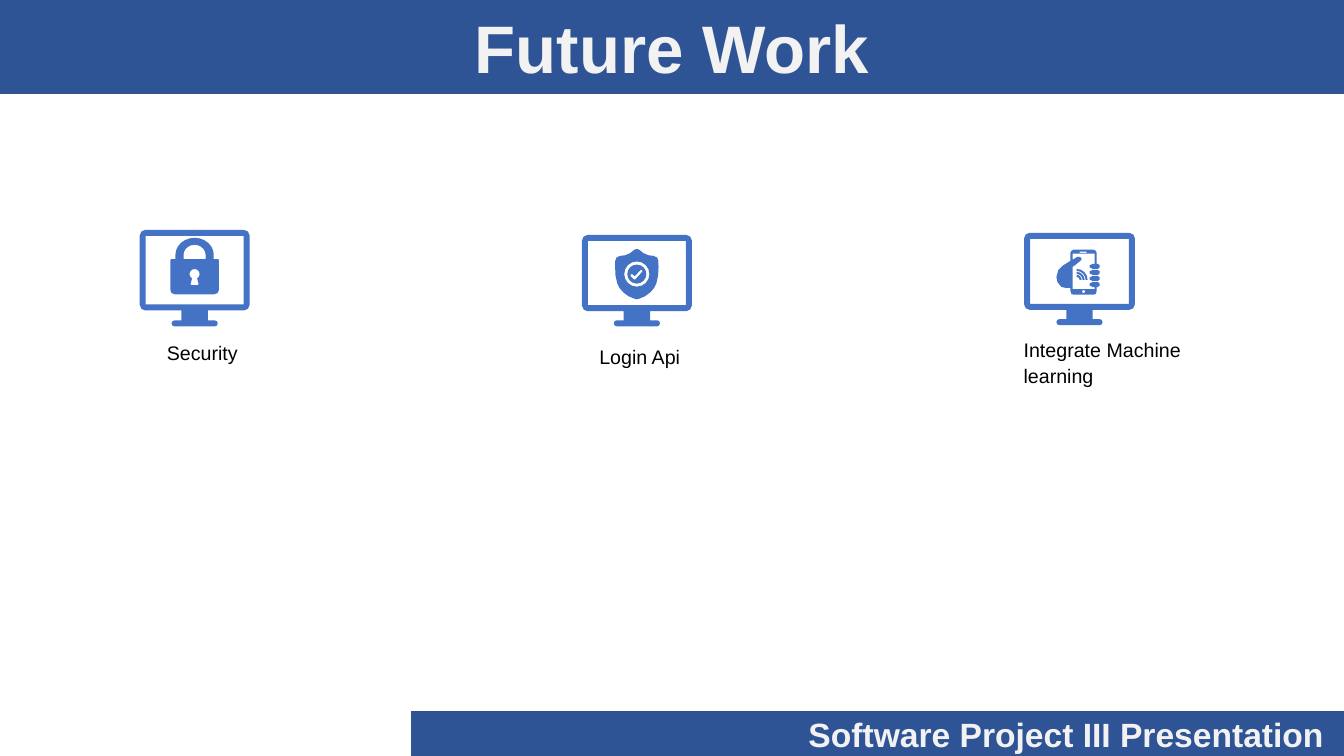
from math import cos, radians, sin

from pptx import Presentation
from pptx.dml.color import RGBColor as Rgb
from pptx.enum.shapes import MSO_SHAPE as Kind
from pptx.enum.text import MSO_ANCHOR as Anchor, MSO_AUTO_SIZE as Fit, PP_ALIGN as Align
from pptx.util import Pt

HUES = {"bar": "2F5496", "edge": "31538F", "pale": "F2F2F2",
        "icon": "4472C4", "text": "000000"}


def hue(name):
    return Rgb.from_string(HUES[name])


def paint(shape, fill, line=None):
    shape.fill.solid()
    shape.fill.fore_color.rgb = hue(fill)
    if line:
        shape.line.color.rgb = hue(line)
        shape.line.width = Pt(1)
    else:
        shape.line.fill.background()


def write(shape, text, size, color, bold=False, align=Align.LEFT, anchor=Anchor.TOP):
    frame = shape.text_frame
    frame.text = text
    frame.word_wrap = True
    frame.auto_size = Fit.NONE
    frame.vertical_anchor = anchor
    par = frame.paragraphs[0]
    par.alignment = align
    font = par.runs[0].font
    font.name, font.size, font.bold = "Arial", Pt(size), bold
    font.color.rgb = hue(color)
    return par


def arc(wide, high, mid, end, steps):
    turns = [radians(end * i / steps) for i in range(steps + 1)]
    return [(wide * sin(t), mid - high * cos(t)) for t in turns]


def mirror(half):
    return half + [(-a, b) for a, b in reversed(half) if abs(a) > 0.01]


def disc(size, mid):
    return mirror(arc(size, size, mid, 180, 8))


def trace(slide, x, y, loops, unit=1):
    loops = [[(Pt(x + a * unit), Pt(y + b * unit)) for a, b in loop] for loop in loops]
    pen = slide.shapes.build_freeform(*loops[0][0], scale=1.0)
    for i, loop in enumerate(loops):
        if i:
            pen.move_to(*loop[0])
        pen.add_line_segments(loop[1:], close=True)
    shape = pen.convert_to_shape()
    shape.shadow.inherit = False
    paint(shape, "icon")


def header(slide, box):
    title = slide.shapes.title
    title.left, title.top, title.width, title.height = map(Pt, box)
    paint(title, "bar", "edge")
    write(title, "Future Work", 48, "pale", True, Align.CENTER, Anchor.MIDDLE)


def footer(slide, box):
    bar = slide.shapes.add_shape(Kind.RECTANGLE, *map(Pt, box))
    bar.shadow.inherit = False
    paint(bar, "bar", "edge")
    write(bar, "Software Project III Presentation", 24, "pale", True,
          Align.RIGHT, Anchor.MIDDLE)
    bar.text_frame.margin_right = Pt(14.4)


def screen(slide, box):
    x, y, w, h = box
    rim, deep, half = 4.3, h * 0.835, w / 2
    edge = [(half - 4, 0), (half - 1.2, 1.2), (half, 4), (half, deep - 4),
            (half - 1.2, deep - 1.2), (half - 4, deep), (9.4, deep), (9.4, h - rim),
            (14.4, h - rim), (15.9, h - 3.7), (16.5, h - 2.15), (15.9, h - 0.6),
            (14.4, h)]
    pane = [(half - rim, rim), (half - rim, deep - rim)]
    trace(slide, x + half, y, [mirror(edge), mirror(pane)])


def lock(slide, x, y):
    body = arc(13.7, 12.2, 12.2, 90, 6) + [
        (13.7, 15.2), (16.6, 15.2), (17.3, 15.8), (17.3, 37.4), (16.4, 39.5), (14, 40.3)]
    gap = arc(7.9, 7.2, 12.2, 90, 5) + [(7.9, 15.2)]
    key = arc(3.6, 3.6, 25.9, 150, 6) + [(2.9, 33), (2.4, 33.8)]
    trace(slide, x + 17.3, y, [mirror(body), mirror(gap), mirror(key)])


def shield(slide, x, y):
    side = [(0, 0), (1.5, 0.5), (5, 3.2), (8.5, 4.6), (11.9, 5), (14.5, 6.2),
            (15.4, 8.6), (15.5, 13), (15.2, 19), (14, 24.5), (12.3, 28),
            (9.7, 31), (6, 33.8), (1.3, 35.8), (0, 36)]
    tick = [(2.9, -3.1), (3.8, -2.9), (4, -1.8), (-0.9, 3.6), (-1.6, 4), (-2.3, 3.6),
            (-4.4, 1.6), (-4.4, 0.4), (-3.4, -0.1), (-1.5, 1.5)]
    mid = x + 15.5
    trace(slide, mid, y + 18, [disc(6.8, 0), tick])
    trace(slide, mid, y, [mirror(side), disc(9, 18)])


def phone(slide, x, y):
    tip = [(36, 0), (33, 1.5), (33, 3.5), (36, 5), (41, 5), (43, 3.5), (43, 1.5), (41, 0)]
    tips = [[(a, b + top) for a, b in tip] for top in (14, 20, 26, 32)]
    low = tips[3][4:] + tips[3][:4]
    hand = [(17, 0), (15, 1), (14, 3), (14, 11), (6, 16), (2, 20), (0, 27), (1, 32),
            (5, 37), (10, 38), (14, 38), (14, 41), (15, 44), (17, 44.5), (37, 44.5),
            (39, 44), (40, 41), (40, 37), *low, (38, 37), (38, 39), (16, 39), (16, 17),
            (19, 15), (25, 10), (24.5, 8), (23, 7), (21, 7), (16, 10), (16, 4), (38, 4),
            (38, 14), *tips[0], (40, 14), (40, 3), (39, 1), (37, 0)]
    waves = [[(20 + a, b) for a, b in
              arc(r, r, 30, 90, 4) + arc(r - 2, r - 2, 30, 90, 4)[::-1]]
             for r in (5, 8, 11)]
    slot = [(23, 2), (30, 2), (30, 3), (23, 3)]
    knob = [(27 + a, b) for a, b in disc(1.5, 41.5)]
    trace(slide, x, y, [hand, tips[1], tips[2], *waves, slot, knob], 0.72)


def label(slide, text, box):
    par = write(slide.shapes.add_textbox(*map(Pt, box)), text, 14, "text")
    par.line_spacing = 1.07


def main():
    deck = Presentation()
    deck.slide_width, deck.slide_height = Pt(960), Pt(540)
    slide = deck.slides.add_slide(deck.slide_layouts[5])
    header(slide, (0, 0, 960, 66.5))
    footer(slide, (294, 508.2, 666, 31.8))
    items = [
        ("Security", (99.8, 164.2, 78.5, 69), lock, (121.7, 169.9),
         (112.1, 239, 119.5, 41)),
        ("Login Api", (415.7, 167.8, 78.5, 65.3), shield, (439.4, 177.8),
         (421, 241.9, 102.2, 41)),
        ("Integrate Machine learning", (731.5, 166.3, 79.2, 66), phone, (754.6, 178.4),
         (724.1, 237, 148.3, 58.3))]
    for text, frame, mark, spot, box in items:
        screen(slide, frame)
        mark(slide, *spot)
        label(slide, text, box)
    deck.save("out.pptx")


if __name__ == "__main__":
    main()
